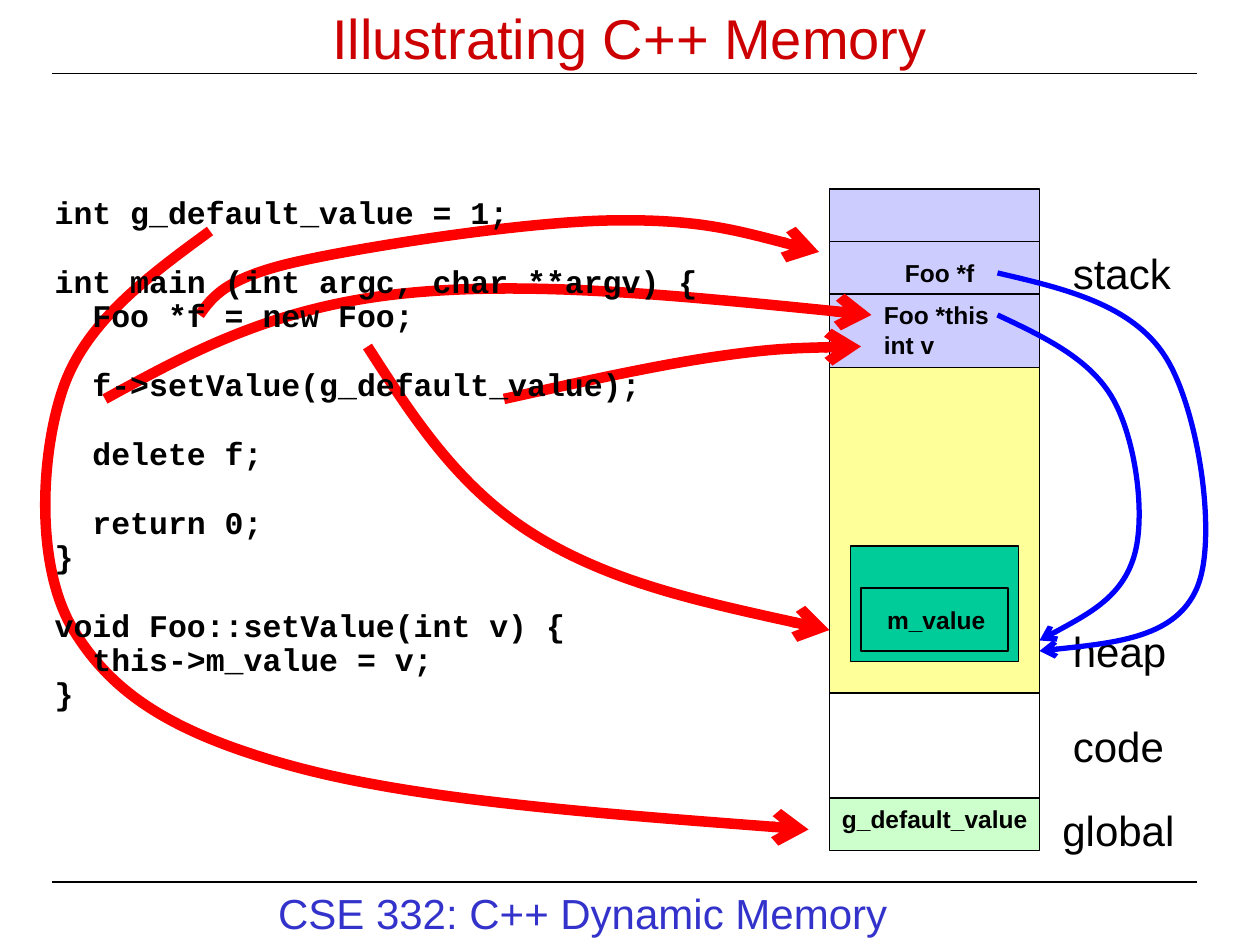
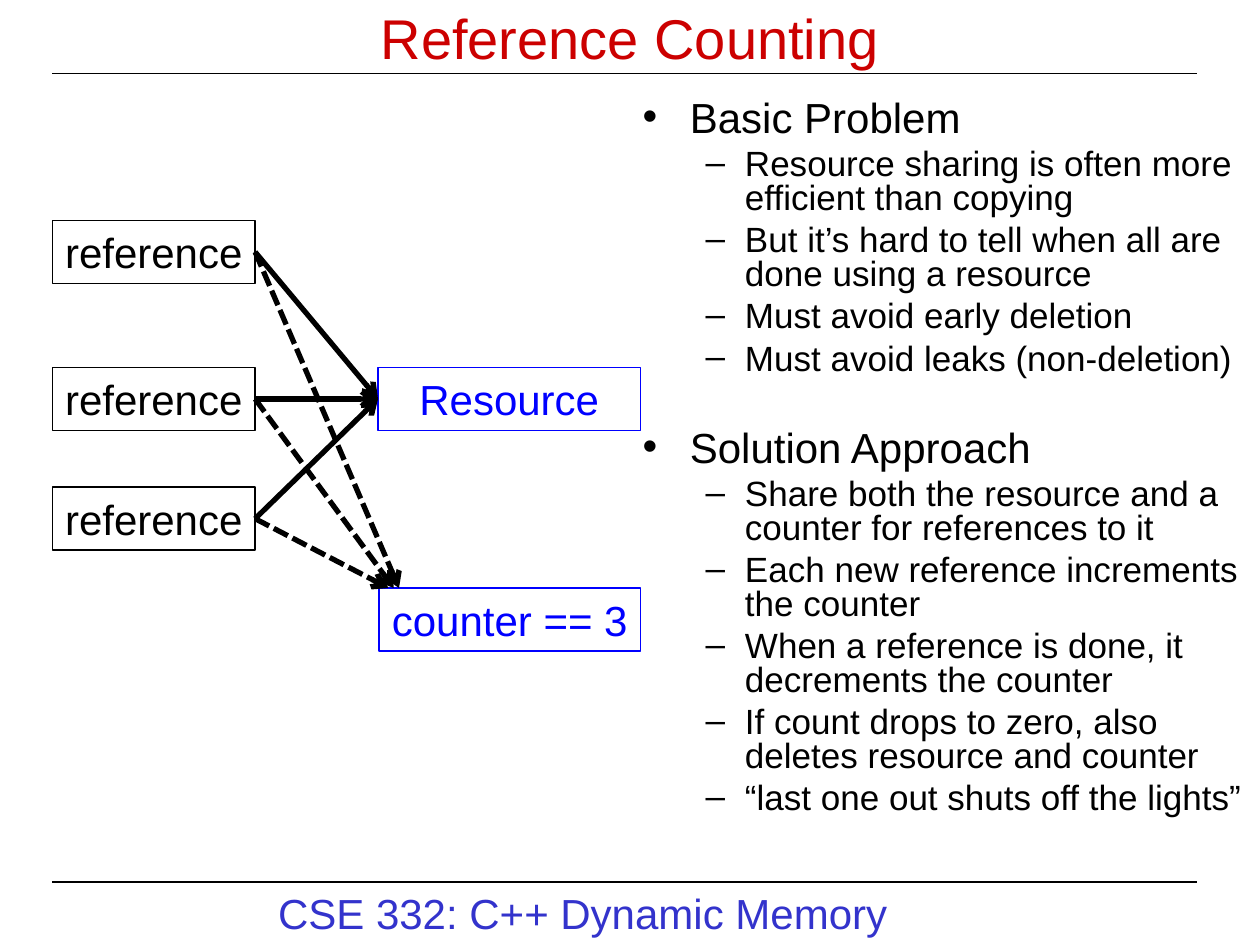
"""Build two lecture slides on C++ memory and reference counting."""
from itertools import product
from typing import NamedTuple

from lxml.etree import SubElement
from pptx import Presentation
from pptx.dml.color import RGBColor
from pptx.enum.dml import MSO_LINE
from pptx.enum.shapes import MSO_CONNECTOR, MSO_SHAPE
from pptx.enum.text import MSO_AUTO_SIZE, PP_ALIGN
from pptx.oxml.ns import qn
from pptx.util import Inches, Length, Pt

HUES = {
    "black": "000000", "title": "CC0000", "footer": "3333CC",
    "red": "FF0000", "blue": "0000FF", "stack": "CCCCFF",
    "heap": "FFFF99", "code": "FFFFFF", "global": "CCFFCC", "object": "00CC99",
}
COLS, ROWS = 120, 90
SANS, MONO = "Arial", "Courier New"


class Box(NamedTuple):
    x: float
    y: float
    w: float
    h: float
    fill: str = ""
    edge: str = "black"
    text: str = ""


class Label(NamedTuple):
    x: float
    y: float
    w: float
    text: str
    size: int = 24
    bold: bool = False
    hue: str = "black"


class Curve(NamedTuple):
    hue: str
    width: float
    stops: list


class Line(NamedTuple):
    text: str
    level: int = 0
    gap: float = 0


MEMORY = [
    Box(79, 18, 20, 5, "stack"), Box(79, 23, 20, 5, "stack"),
    Box(79, 28, 20, 7, "stack"), Box(79, 35, 20, 31, "heap"),
    Box(79, 66, 20, 10, "code"), Box(79, 76, 20, 5, "global"),
    Box(81, 52, 16, 11, "object"), Box(82, 56, 14, 6, "object"),
]
LABELS = [
    Label(101, 23, 18, "stack"), Label(101, 59, 18, "heap"),
    Label(101, 68, 18, "code"), Label(100, 76, 18, "global"),
    Label(79, 76, 22, "g_default_value", 14, True),
    Label(85, 24, 14, "Foo *f", 14, True),
    Label(83, 28, 16, "Foo *this\nint v", 14, True),
    Label(83.3, 57, 14, "m_value", 14, True),
]
CURVES = [
    Curve("red", 6, [(19, 30), (28, 25), (58, 21), (78, 24)]),
    Curve("red", 6, [(35, 33), (51, 51), (79, 60)]),
    Curve("red", 6, [(20, 22), (6, 37), (7, 60), (28, 73), (77, 79)]),
    Curve("red", 6, [(10, 38), (38, 28), (83, 30)]),
    Curve("red", 6, [(48, 38), (68, 34), (82, 33)]),
    Curve("blue", 3, [(95, 26), (111, 34), (114, 56), (99, 62)]),
    Curve("blue", 3, [(95, 30), (106, 38), (108, 53), (99, 61)]),
]
SKIP = 19.67
CODE = [
    Line("int g_default_value = 1;"),
    Line("int main (int argc, char **argv) {", 0, SKIP),
    Line("Foo *f = new Foo;", 1),
    Line("f->setValue(g_default_value);", 1, SKIP),
    Line("delete f;", 1, SKIP),
    Line("return 0;", 1, SKIP),
    Line("}"),
    Line("void Foo::setValue(int v) {", 0, SKIP),
    Line("this->m_value = v;", 1),
    Line("}"),
]
NOTES = [
    Line("Basic Problem"),
    Line("Resource sharing is often more efficient than copying", 1),
    Line("But it’s hard to tell when all are done using a resource", 1),
    Line("Must avoid early deletion", 1),
    Line("Must avoid leaks (non-deletion)", 1),
    Line("Solution Approach", 0, 24.4),
    Line("Share both the resource and a counter for references to it", 1),
    Line("Each new reference increments the counter", 1),
    Line("When a reference is done, it decrements the counter", 1),
    Line("If count drops to zero, also deletes resource and counter", 1),
    Line("“last one out shuts off the lights”", 1),
]
USERS = [Box(5, y, 19.3, 6, text="reference") for y in (21, 35, 46.4)]
SHARED = Box(36, 35, 25, 6, edge="blue", text="Resource")
COUNT = Box(36.1, 56, 24.9, 6, edge="blue", text="counter == 3")


def cell(n: float) -> Length:
    """Turn grid cells into a length."""
    return Inches(n / 12)


def tint(name: str) -> RGBColor:
    """Look up a colour."""
    return RGBColor.from_string(HUES[name])


def style(para, size: float, hue: str = "black", bold: bool = False, face: str = SANS) -> None:
    """Format every run of a paragraph."""
    for run in para.runs:
        font = run.font
        font.name, font.size, font.bold = face, Pt(size), bold
        font.color.rgb = tint(hue)


def place(shape, x: float, y: float, w: float, h: float) -> None:
    """Move a shape to a spot on the grid."""
    shape.left, shape.top, shape.width, shape.height = map(cell, (x, y, w, h))


def stroke(shape, hue: str, width: float, arrow: bool = False, dash: bool = False) -> None:
    """Set the outline, with an optional dash and arrowhead."""
    shape.line.color.rgb = tint(hue)
    shape.line.width = Pt(width)
    if dash:
        shape.line.dash_style = MSO_LINE.SQUARE_DOT
    if arrow:
        SubElement(shape.element.find(".//" + qn("a:ln")), qn("a:tailEnd"), type="arrow")


def draw_box(slide, box: Box):
    """Draw a rectangle with optional fill and text."""
    shape = slide.shapes.add_shape(MSO_SHAPE.RECTANGLE, *map(cell, box[:4]))
    shape.shadow.inherit = False
    stroke(shape, box.edge, 0.75)
    if box.fill:
        shape.fill.solid()
        shape.fill.fore_color.rgb = tint(box.fill)
    else:
        shape.fill.background()
    if box.text:
        frame = shape.text_frame
        frame.word_wrap = False
        frame.text = box.text
        frame.paragraphs[0].alignment = PP_ALIGN.CENTER
        style(frame.paragraphs[0], 24, box.edge)
    return shape


def draw_label(slide, label: Label):
    """Draw a line or two of free text."""
    shape = slide.shapes.add_textbox(cell(label.x), cell(label.y), cell(label.w), cell(6))
    frame = shape.text_frame
    frame.word_wrap = True
    frame.text = label.text
    for para in frame.paragraphs:
        style(para, label.size, label.hue, label.bold)
    return shape


def draw_line(slide, start: tuple, end: tuple, width: float = 0.75,
              arrow: bool = False, dash: bool = False):
    """Draw a straight black connector."""
    line = slide.shapes.add_connector(MSO_CONNECTOR.STRAIGHT, *map(cell, start + end))
    stroke(line, "black", width, arrow, dash)
    SubElement(line.element.spPr, qn("a:effectLst"))
    return line


def bend(stops: list) -> list:
    """Return the control and end points of a smooth curve through the stops."""
    def shift(a: tuple, b: tuple, c: tuple, share: float) -> tuple:
        return tuple(q + share * (r - p) for p, q, r in zip(a, b, c))

    def mid(a: tuple, b: tuple) -> tuple:
        return tuple((p + q) / 2 for p, q in zip(a, b))

    inner = list(zip(stops, stops[1:], stops[2:]))
    into = [shift(*trio, -1 / 6) for trio in inner]
    away = [shift(*trio, 1 / 6) for trio in inner]
    first = [mid(stops[0], into[0])] + away
    last = into + [mid(away[-1], stops[-1])]
    return [point for trio in zip(first, last, stops[1:]) for point in trio]


def draw_curve(slide, curve: Curve) -> None:
    """Draw a curved arrow."""
    start, *rest = [tuple(map(cell, p)) for p in [curve.stops[0]] + bend(curve.stops)]
    pen = slide.shapes.build_freeform(*start)
    pen.add_line_segments(rest, close=False)
    shape = pen.convert_to_shape()
    shape.shadow.inherit = False
    shape.fill.background()
    track = shape.element.find(".//" + qn("a:path"))
    steps = track.findall(qn("a:lnTo"))
    for i in range(0, len(steps), 3):
        arc = SubElement(track, qn("a:cubicBezTo"))
        for step in steps[i:i + 3]:
            arc.append(step[0])
            track.remove(step)
    stroke(shape, curve.hue, curve.width, arrow=True)


def fill_body(body, lines: list) -> list:
    """Write lines into a body and return them paired with their paragraphs."""
    frame = body.text_frame
    frame.auto_size = MSO_AUTO_SIZE.NONE
    frame.text = "\n".join(line.text for line in lines)
    return list(zip(lines, frame.paragraphs))


def add_frame(slide) -> None:
    """Put the rules and footer on the layout."""
    layout = slide.slide_layout
    for spot in list(layout.placeholders):
        if spot.placeholder_format.idx >= 10:
            layout.shapes.element.remove(spot.element)
    parts = [draw_line(slide, (5, y), (114, y)) for y in (7, 84)]
    footer = Label(25.3, 83.9, 70, "CSE 332: C++ Dynamic Memory", hue="footer")
    parts.append(draw_label(slide, footer))
    for part in parts:
        layout.shapes.element.append(part.element)


def add_slide(deck, title: str):
    """Add a slide with its title."""
    slide = deck.slides.add_slide(deck.slide_layouts[1])
    head = slide.shapes.title
    place(head, 3, 0, 114, 7)
    head.text_frame.auto_size = MSO_AUTO_SIZE.NONE
    head.text_frame.text = title
    style(head.text_frame.paragraphs[0], 32, "title")
    return slide


def fill_memory(slide) -> None:
    """Draw the code and the memory it uses."""
    for box in MEMORY:
        draw_box(slide, box)
    for label in LABELS:
        draw_label(slide, label)
    for curve in CURVES:
        draw_curve(slide, curve)
    body = slide.placeholders[1]
    place(body, 4, 18.8, 65, 53)
    for line, para in fill_body(body, CODE):
        para.line_spacing, para.space_before = 0.7, Pt(4.5 + line.gap)
        style(para, 18, bold=True, face=MONO)
        props = para._p.get_or_add_pPr()
        props.set("marL", str(Inches(0.3 * line.level)))
        props.set("indent", "0")
        SubElement(props, qn("a:buNone"))
    slide.shapes.element.append(body.element)


def fill_counting(slide) -> None:
    """Draw the references and the notes beside them."""
    body = slide.placeholders[1]
    place(body, 60, 9, 60, 75)
    for line, para in fill_body(body, NOTES):
        para.level = line.level
        para.line_spacing, para.space_before = 0.8, Pt(6 - line.level + line.gap)
        style(para, 24 - 4 * line.level)
    shared, _ = draw_box(slide, SHARED), draw_box(slide, COUNT)
    users = [draw_box(slide, user) for user in USERS]
    for dash, (i, user) in product((False, True), enumerate(users)):
        line = draw_line(slide, (24.3, USERS[i].y + 3), (38 - i / 2, COUNT.y), 3, True, dash)
        line.begin_connect(user, 3)
        if not dash:
            line.end_connect(shared, 1)


def main() -> None:
    """Build and save the deck."""
    deck = Presentation()
    deck.slide_width, deck.slide_height = cell(COLS), cell(ROWS)
    memory = add_slide(deck, "Illustrating C++ Memory")
    add_frame(memory)
    fill_memory(memory)
    fill_counting(add_slide(deck, "Reference Counting"))
    deck.save("out.pptx")


if __name__ == "__main__":
    main()
